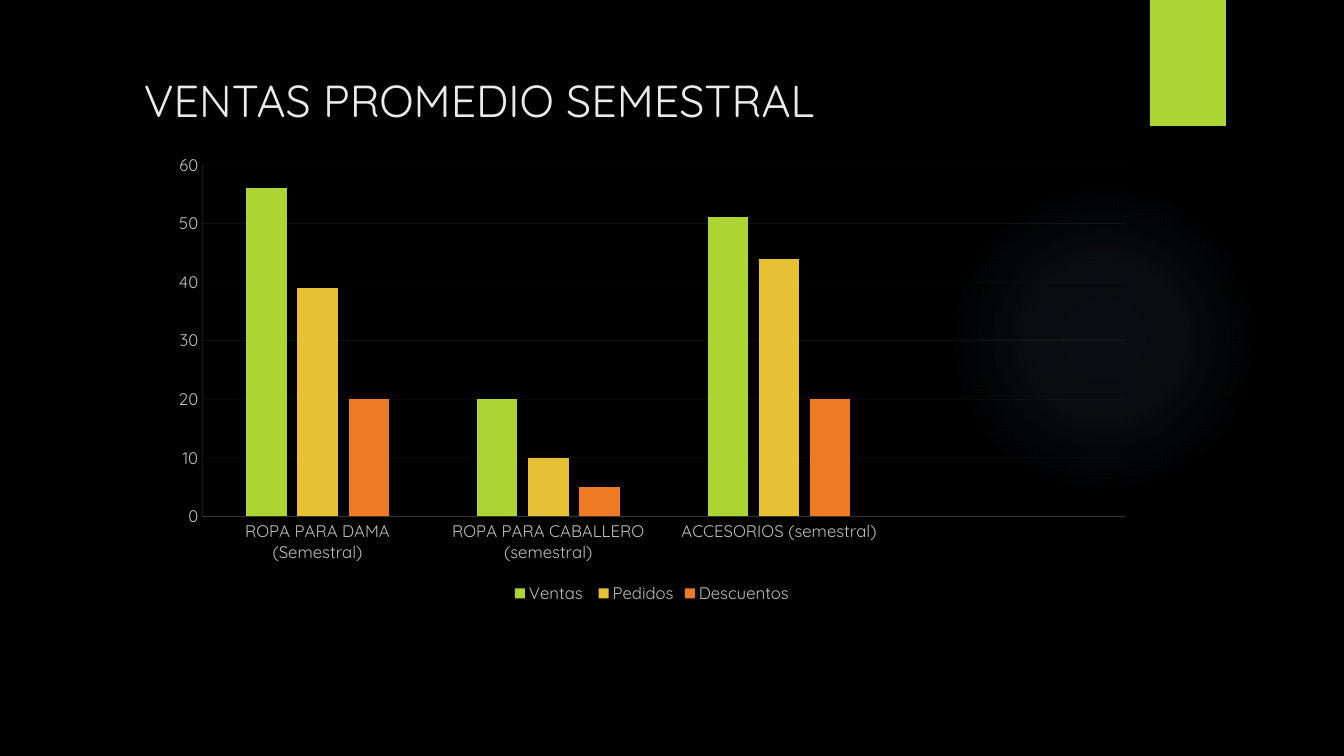
from lxml import etree
from pptx import Presentation
from pptx.chart.data import CategoryChartData
from pptx.dml.color import RGBColor
from pptx.enum.chart import XL_CHART_TYPE, XL_LEGEND_POSITION, XL_TICK_MARK
from pptx.enum.shapes import MSO_SHAPE
from pptx.enum.text import MSO_ANCHOR
from pptx.oxml import parse_xml
from pptx.oxml.ns import nsdecls, qn
from pptx.util import Pt

CLUSTERED = XL_CHART_TYPE.COLUMN_CLUSTERED
LEGEND_BOTTOM = XL_LEGEND_POSITION.BOTTOM
NO_TICK = XL_TICK_MARK.NONE
RECTANGLE, ELLIPSE = MSO_SHAPE.RECTANGLE, MSO_SHAPE.OVAL
TOP = MSO_ANCHOR.TOP

PAGE_WIDTH, PAGE_HEIGHT = 1344, 756
EMU_PER_PX = 12192000 / PAGE_WIDTH
FONT = "Quicksand"
COLORS = {
    "background": "000000",
    "glow": "7AC4F0",
    "title": "EBEBEB",
    "chart_text": "FFFFFF",
    "label": "BFBFBF",
    "rule": "EEF6D6",
    "green": "ACD433",
    "yellow": "E6C133",
    "orange": "EF7A24",
}
GLOW_STOPS = [(0, 7), (36, 6), (69, 0)]
CATEGORIES = [
    "ROPA PARA DAMA (Semestral)",
    "ROPA PARA CABALLERO (semestral)",
    "ACCESORIOS (semestral)",
    "",
]
SERIES = [
    ("Ventas ", (56, 20, 51, None), "green"),
    ("Pedidos", (39, 10, 44, None), "yellow"),
    ("Descuentos", (20, 5, 20, None), "orange"),
]


def color(name):
    """Return the named colour."""
    return RGBColor.from_string(COLORS[name])


def emu(box):
    """Turn a box in px into EMU."""
    return [round(length * EMU_PER_PX) for length in box]


def style_font(font, size, tint):
    """Set the face, size and colour of a font."""
    font.name = FONT
    font.size = Pt(size)
    font.color.rgb = color(tint)


def add_text(page, box, text, size, tint, anchor=TOP):
    """Add a wrapped line of text in the given format."""
    frame = page.shapes.add_textbox(*emu(box)).text_frame
    frame.word_wrap = True
    frame.vertical_anchor = anchor
    span = frame.paragraphs[0].add_run()
    span.text = text
    style_font(span.font, size, tint)


def add_block(page, box, kind, tint):
    """Add a plain shape without outline or shadow."""
    block = page.shapes.add_shape(kind, *emu(box))
    block.shadow.inherit = False
    block.line.fill.background()
    block.fill.solid()
    block.fill.fore_color.rgb = color(tint)
    return block


def add_glow(page, box):
    """Add a soft round light that fades outwards."""
    glow = add_block(page, box, ELLIPSE, "glow")
    stops = "".join(
        f'<a:gs pos="{place * 1000}"><a:srgbClr val="{COLORS["glow"]}">'
        f'<a:alpha val="{opacity * 1000}"/></a:srgbClr></a:gs>'
        for place, opacity in GLOW_STOPS
    )
    gradient = parse_xml(
        f'<a:gradFill {nsdecls("a")}><a:gsLst>{stops}</a:gsLst><a:path path="circle">'
        '<a:fillToRect l="50000" t="50000" r="50000" b="50000"/></a:path></a:gradFill>'
    )
    properties = glow.element.spPr
    properties.replace(properties.find(qn("a:solidFill")), gradient)


def style_rule(line, element, query, opacity):
    """Draw a thin, partly transparent chart line."""
    line.width = Pt(0.25)
    line.color.rgb = color("rule")
    for tint in element.xpath(query):
        etree.SubElement(tint, qn("a:alpha")).set("val", str(opacity * 1000))


def style_axis(axis, opacity):
    """Style the labels and line of an axis."""
    axis.major_tick_mark = NO_TICK
    axis.minor_tick_mark = NO_TICK
    style_font(axis.tick_labels.font, 12, "label")
    style_rule(axis.format.line, axis._element, "./c:spPr//a:srgbClr", opacity)


def add_sales_chart(page, box):
    """Add the clustered columns of half-year sales."""
    data = CategoryChartData()
    data.categories = CATEGORIES
    for name, values, _ in SERIES:
        data.add_series(name, values)
    chart = page.shapes.add_chart(CLUSTERED, *emu(box), data).chart
    style_font(chart.font, 10, "chart_text")
    chart.has_title = False
    chart.has_legend = True
    chart.legend.position = LEGEND_BOTTOM
    chart.legend.include_in_layout = False
    style_font(chart.legend.font, 12, "label")

    style_axis(chart.category_axis, 25)
    values_axis = chart.value_axis
    style_axis(values_axis, 30)
    values_axis.minimum_scale, values_axis.maximum_scale = 0, 60
    values_axis.major_unit = 10
    values_axis.has_major_gridlines = True
    style_rule(values_axis.major_gridlines.format.line, values_axis._element,
               "./c:majorGridlines//a:srgbClr", 10)

    plot = chart.plots[0]
    plot.vary_by_categories = False
    plot.gap_width = 219
    plot.overlap = -27
    for series, (_, _, tint) in zip(plot.series, SERIES):
        series.format.fill.solid()
        series.format.fill.fore_color.rgb = color(tint)


def main():
    """Build and save the sales slide."""
    deck = Presentation()
    deck.slide_width, deck.slide_height = emu((PAGE_WIDTH, PAGE_HEIGHT))
    page = deck.slides.add_slide(deck.slide_layouts[6])
    page.background.fill.solid()
    page.background.fill.fore_color.rgb = color("background")
    add_glow(page, (949, 184, 310, 310))
    add_block(page, (1150, 0, 76, 126), RECTANGLE, "green")
    add_text(page, (134, 68, 1037, 154), "VENTAS PROMEDIO SEMESTRAL", size=32, tint="title")
    add_sales_chart(page, (159, 145, 986, 463))
    deck.save("out.pptx")


if __name__ == "__main__":
    main()
